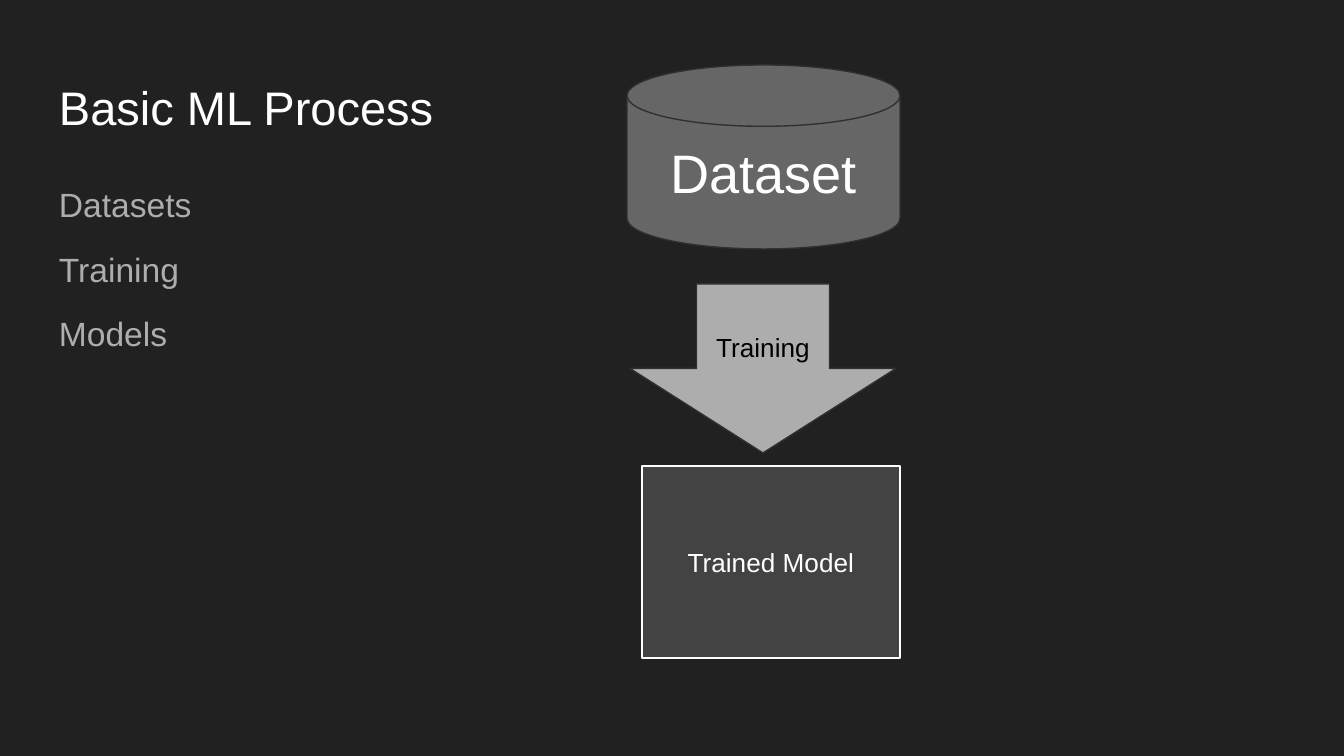
"""Build the Basic ML Process slide."""
from pptx import Presentation
from pptx.dml.color import RGBColor
from pptx.enum.shapes import MSO_SHAPE
from pptx.enum.text import MSO_ANCHOR, PP_ALIGN
from pptx.util import Pt

SCALE = 914400 / 134.4
INSET = 13
HUES = {
    "back": "212121",
    "white": "FFFFFF",
    "black": "000000",
    "light": "ADADAD",
    "mid": "666666",
    "dark": "434343",
    "edge": "303030",
}


def px(*nums):
    return [round(num * SCALE) for num in nums]


def write(shape, lines, size, hue, align, anchor):
    frame = shape.text_frame
    frame.word_wrap = True
    frame.vertical_anchor = anchor
    pad = px(INSET)[0]
    frame.margin_left = frame.margin_right = pad
    frame.margin_top = frame.margin_bottom = pad
    for i, line in enumerate(lines):
        para = frame.add_paragraph() if i else frame.paragraphs[0]
        para.alignment = align
        if len(lines) > 1:
            para.line_spacing = 1.05
        if i:
            para.space_before = Pt(12)
        run = para.add_run()
        run.text = line
        run.font.name = "Arial"
        run.font.size = Pt(size)
        run.font.color.rgb = RGBColor.from_string(HUES[hue])


deck = Presentation()
deck.slide_width, deck.slide_height = px(1344, 756)
slide = deck.slides.add_slide(deck.slide_layouts[6])
fill = slide.background.fill
fill.solid()
fill.fore_color.rgb = RGBColor.from_string(HUES["back"])

texts = [
    ((46, 66, 1253, 85), ["Basic ML Process"], 25.2, "white"),
    ((46, 169, 323, 269), ["Datasets", "Training", "Models"], 18, "light"),
]
for area, lines, size, hue in texts:
    box = slide.shapes.add_textbox(*px(*area))
    write(box, lines, size, hue, PP_ALIGN.LEFT, MSO_ANCHOR.TOP)

steps = [
    (MSO_SHAPE.FLOWCHART_MAGNETIC_DISK, (627, 65, 273, 184), "mid", "edge",
     "Dataset", 29, "white"),
    (MSO_SHAPE.DOWN_ARROW, (630, 284, 266, 169), "light", "edge",
     "Training", 14, "black"),
    (MSO_SHAPE.RECTANGLE, (642, 466, 258, 192), "dark", "white",
     "Trained Model", 14, "white"),
]
for kind, area, face, edge, label, size, hue in steps:
    shape = slide.shapes.add_shape(kind, *px(*area))
    shape.shadow.inherit = False
    shape.fill.solid()
    shape.fill.fore_color.rgb = RGBColor.from_string(HUES[face])
    shape.line.color.rgb = RGBColor.from_string(HUES[edge])
    shape.line.width = Pt(0.75)
    write(shape, [label], size, hue, PP_ALIGN.CENTER, MSO_ANCHOR.MIDDLE)

deck.save("out.pptx")
